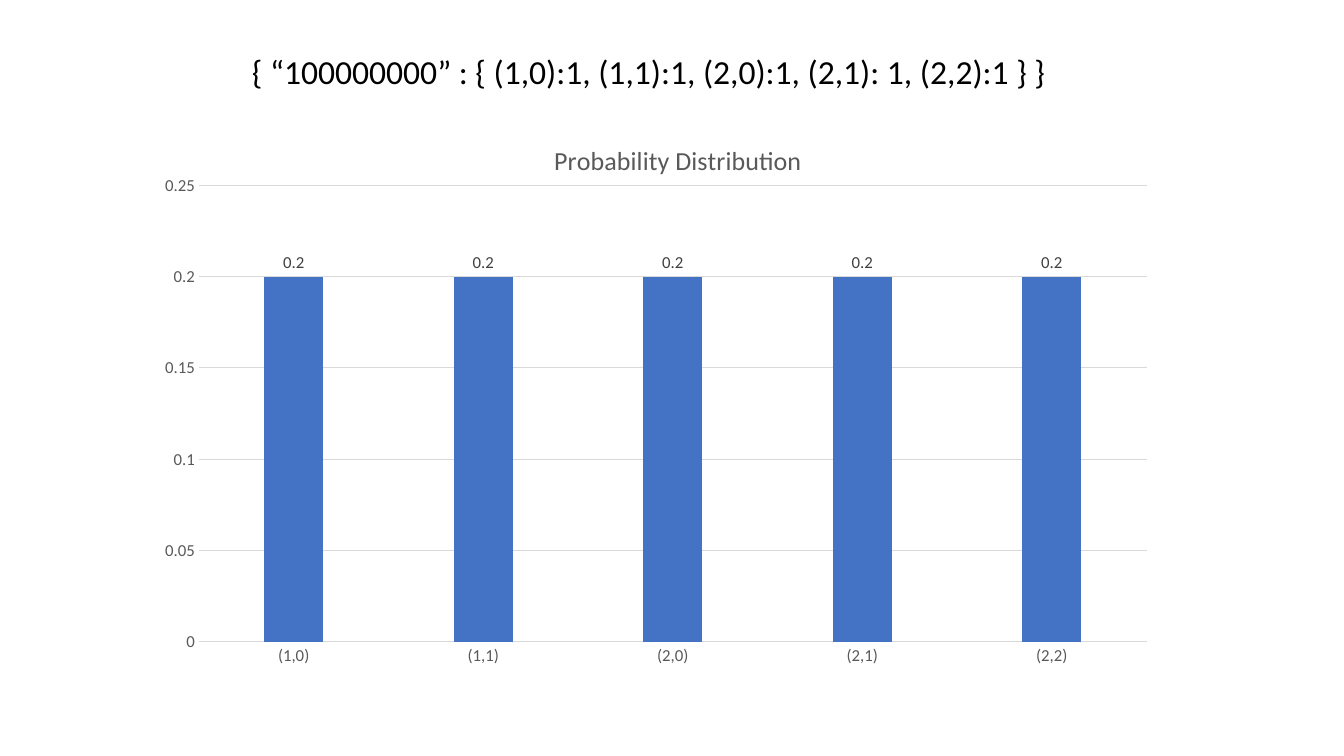
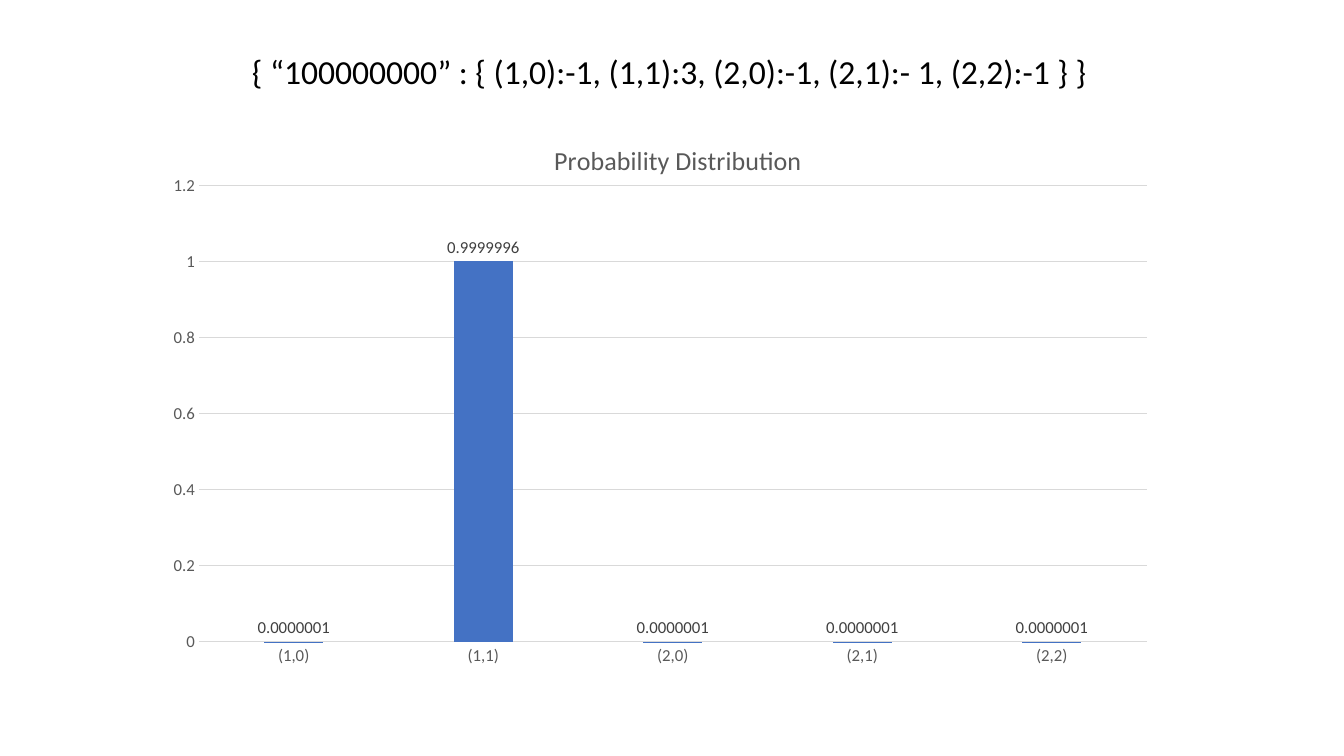
from pptx import Presentation
from pptx.chart.data import CategoryChartData
from pptx.dml.color import RGBColor
from pptx.enum.chart import XL_CHART_TYPE, XL_LABEL_POSITION, XL_TICK_MARK
from pptx.enum.text import MSO_AUTO_SIZE
from pptx.oxml import parse_xml
from pptx.oxml.ns import nsdecls, qn
from pptx.util import Cm, Pt

BLACK = RGBColor(0x00, 0x00, 0x00)
LABEL_GREY = RGBColor(0x40, 0x40, 0x40)
TEXT_GREY = RGBColor(0x59, 0x59, 0x59)
GRID_GREY = RGBColor(0xD9, 0xD9, 0xD9)
BAR_BLUE = RGBColor(0x44, 0x72, 0xC4)
FONT_NAME = "Calibri"

HEADING_BOX = (Cm(6.1), Cm(1.17), Cm(21.67), Cm(1.28))
CHART_BOX = (Cm(4.09), Cm(2.84), Cm(25.68), Cm(15.54))
CATEGORIES = ("(1,0)", "(1,1)", "(2,0)", "(2,1)", "(2,2)")

SLIDES = (
    {
        "heading": "{ “100000000” : { (1,0):1, (1,1):1, (2,0):1, (2,1): 1, (2,2):1 } }",
        "values": (0.2,) * 5,
        "label_format": "General",
        "maximum": 0.25,
        "step": 0.05,
    },
    {
        "heading": "{ “100000000” : { (1,0):-1, (1,1):3, (2,0):-1, (2,1):- 1, (2,2):-1 } }",
        "values": (0.0000001, 0.9999996, 0.0000001, 0.0000001, 0.0000001),
        "label_format": "0.0000000",
        "maximum": 1.2,
        "step": 0.2,
    },
)


def style_font(font, size, color):
    """Apply the shared typeface with a size in points and a colour."""
    font.name = FONT_NAME
    font.size = Pt(size)
    font.bold = False
    font.color.rgb = color


def style_line(line):
    """Make a thin grey chart line."""
    line.color.rgb = GRID_GREY
    line.width = Pt(0.75)


def set_layout(parent, index, **fractions):
    """Place a chart part by fractions of the chart's size."""
    for layout in parent.findall(qn("c:layout")):
        parent.remove(layout)
    target = '<c:layoutTarget val="inner"/>' if "w" in fractions else ""
    modes = "".join(f'<c:{key}Mode val="edge"/>' for key in ("x", "y"))
    sizes = "".join(f'<c:{key} val="{value}"/>' for key, value in fractions.items())
    parent.insert(index, parse_xml(
        f'<c:layout {nsdecls("c")}><c:manualLayout>{target}{modes}{sizes}'
        "</c:manualLayout></c:layout>"
    ))


def add_heading(slide, box, text):
    """Write the slide's heading in the given box."""
    frame = slide.shapes.add_textbox(*box).text_frame
    frame.word_wrap = True
    frame.auto_size = MSO_AUTO_SIZE.SHAPE_TO_FIT_TEXT
    run = frame.paragraphs[0].add_run()
    run.text = text
    style_font(run.font, 24, BLACK)


def style_axes(chart, maximum, step):
    """Set the scale, grid and text of both axes."""
    for axis in (chart.category_axis, chart.value_axis):
        axis.major_tick_mark = XL_TICK_MARK.NONE
        axis.minor_tick_mark = XL_TICK_MARK.NONE
        style_font(axis.tick_labels.font, 12, TEXT_GREY)
    style_line(chart.category_axis.format.line)
    value_axis = chart.value_axis
    value_axis.format.line.fill.background()
    value_axis.minimum_scale = 0
    value_axis.maximum_scale = maximum
    value_axis.major_unit = step
    value_axis.tick_labels.number_format = "General"
    value_axis.tick_labels.number_format_is_linked = False
    style_line(value_axis.major_gridlines.format.line)


def style_bars(plot, label_format):
    """Colour the bars and show their values above them."""
    plot.vary_by_categories = False
    plot.gap_width = 219
    plot.overlap = -27
    series = plot.series[0]
    series.invert_if_negative = False
    series.format.fill.solid()
    series.format.fill.fore_color.rgb = BAR_BLUE
    labels = series.data_labels
    labels.show_value = True
    labels.position = XL_LABEL_POSITION.OUTSIDE_END
    labels.number_format = label_format
    labels.number_format_is_linked = False
    style_font(labels.font, 12, LABEL_GREY)


def add_distribution_chart(slide, box, values, label_format, maximum, step):
    """Draw the probability column chart in the given box."""
    data = CategoryChartData()
    data.categories = CATEGORIES
    data.add_series("Series 1", values)
    chart = slide.shapes.add_chart(XL_CHART_TYPE.COLUMN_CLUSTERED, *box, data).chart
    style_font(chart.font, 10, BLACK)
    chart.has_legend = False
    chart.has_title = True
    run = chart.chart_title.text_frame.paragraphs[0].add_run()
    run.text = "Probability Distribution"
    style_font(run.font, 18.6, TEXT_GREY)
    set_layout(chart.chart_title.element, 1, x=0.38, y=0.04)
    style_axes(chart, maximum, step)
    style_bars(chart.plots[0], label_format)
    plot_area = chart.element.find(f".//{qn('c:plotArea')}")
    set_layout(plot_area, 0, x=0.036, y=0.118, w=0.93, h=0.74)


def add_distribution_slide(presentation, heading, **chart_settings):
    """Add one slide with a heading above its distribution chart."""
    slide = presentation.slides.add_slide(presentation.slide_layouts[6])
    add_heading(slide, HEADING_BOX, heading)
    add_distribution_chart(slide, CHART_BOX, **chart_settings)


def main():
    """Build and save the presentation."""
    presentation = Presentation()
    presentation.slide_width = Cm(33.87)
    presentation.slide_height = Cm(19.05)
    for content in SLIDES:
        add_distribution_slide(presentation, **content)
    presentation.save("out.pptx")


if __name__ == "__main__":
    main()
